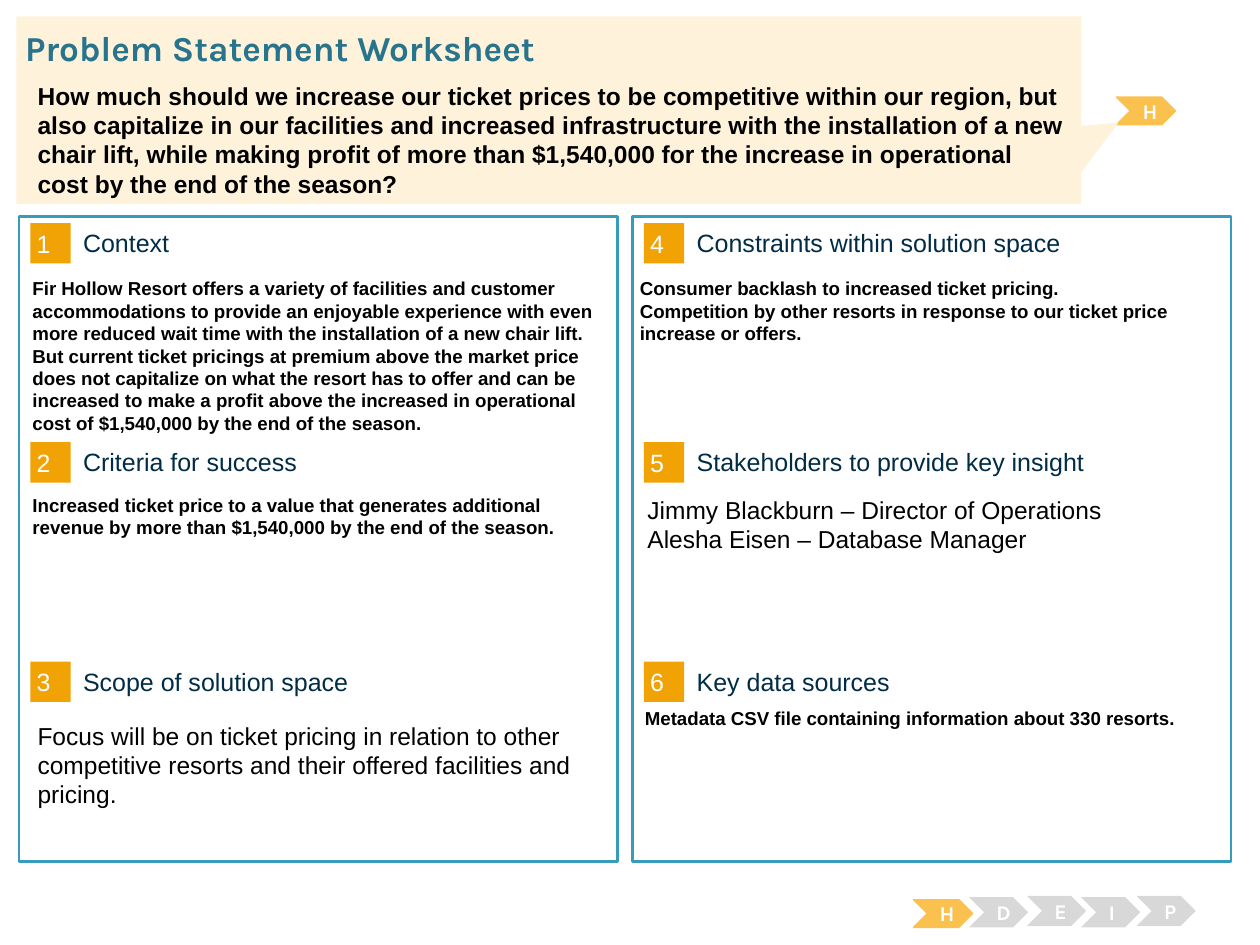
from pptx import Presentation
from pptx.dml.color import RGBColor
from pptx.enum.shapes import MSO_SHAPE
from pptx.enum.text import MSO_ANCHOR, PP_ALIGN
from pptx.util import Inches, Pt

RECTANGLE = MSO_SHAPE.RECTANGLE
CHEVRON = MSO_SHAPE.CHEVRON
CALLOUT = MSO_SHAPE.RECTANGULAR_CALLOUT
TOP, MIDDLE = MSO_ANCHOR.TOP, MSO_ANCHOR.MIDDLE
LEFT, CENTER = PP_ALIGN.LEFT, PP_ALIGN.CENTER

WHITE, BLACK, NAVY, TEAL = "FFFFFF", "000000", "002C46", "29748D"
BLUE, ORANGE, AMBER, GREY, CREAM = "379BBD", "F1A205", "FBC14E", "D8D8D8", "FEF2DA"

# Two columns of three sections
COLUMN_LEFT, COLUMN_PITCH, COLUMN_WIDTH = 0.15, 4.87, 4.75
ROW_TOP, ROW_PITCH, PANEL_HEIGHT = 1.72, 1.74, 5.12
BODY_WIDTH = 4.73
SMALL = dict(size=10.7, bold=True)
LARGE = dict(size=14)

# Heading, body lines, body format, body offset and height within the section
COLUMNS = [
    [
        ("Context",
         ["Fir Hollow Resort offers a variety of facilities and customer accommodations "
          "to provide an enjoyable experience with even more "
          "reduced wait time with the installation of a new chair lift. But current "
          "ticket pricings at premium above the market price does not capitalize on what "
          "the resort has to offer and can be increased to make a profit above the "
          "increased in operational cost of $1,540,000 by the end of the season."],
         SMALL, (0.01, 0.43), 1.36),
        ("Criteria for success",
         ["Increased ticket price to a value that generates additional revenue by more "
          "than $1,540,000 by the end of the season."],
         SMALL, (0.01, 0.41), 1.54),
        ("Scope of solution space",
         ["Focus will be on ticket pricing in relation to other competitive resorts and "
          "their offered facilities and pricing."],
         LARGE, (0.05, 0.47), 0.82),
    ],
    [
        ("Constraints within solution space",
         ["Consumer backlash to increased ticket pricing.",
          "Competition by other resorts in response to our ticket price increase or offers."],
         SMALL, (-0.04, 0.43), 1.18),
        ("Stakeholders to provide key insight",
         ["Jimmy Blackburn – Director of Operations", "Alesha Eisen – Database Manager"],
         LARGE, (0.02, 0.42), 1.18),
        ("Key data sources",
         ["Metadata CSV file containing information about 330 resorts."],
         SMALL, (0, 0.36), 1.18),
    ],
]
QUESTION = (
    "How much should we increase our ticket prices to be competitive within our region, "
    "but also capitalize in our facilities and increased infrastructure with the "
    "installation of a new chair lift, while making profit of more than $1,540,000 for "
    "the increase in operational cost by the end of the season?")


def color(value):
    return RGBColor.from_string(value)


def write(shape, lines, size=14, font="Arial", ink=BLACK, bold=False,
          align=LEFT, anchor=TOP, insets=(0.1, 0.05)):
    frame = shape.text_frame
    frame.word_wrap = True
    frame.vertical_anchor = anchor
    frame.margin_left = frame.margin_right = Inches(insets[0])
    frame.margin_top = frame.margin_bottom = Inches(insets[1])
    for index, line in enumerate(lines):
        paragraph = frame.paragraphs[0] if index == 0 else frame.add_paragraph()
        paragraph.alignment = align
        run = paragraph.add_run()
        run.text = line
        run.font.size, run.font.name, run.font.bold = Pt(size), font, bold
        run.font.color.rgb = color(ink)


def add_text(slide, box, lines, **style):
    write(slide.shapes.add_textbox(*map(Inches, box)), lines, **style)


def add_box(slide, kind, box, fill, line=None, width=0.75):
    shape = slide.shapes.add_shape(kind, *map(Inches, box))
    shape.shadow.inherit = False
    shape.fill.solid()
    shape.fill.fore_color.rgb = color(fill)
    if line:
        shape.line.color.rgb = color(line)
        shape.line.width = Pt(width)
    else:
        shape.line.fill.background()
    return shape


def add_step(slide, left, top, letter, active=False):
    if active:
        shape = add_box(slide, CHEVRON, (left, top, 0.47, 0.22), AMBER, AMBER)
    else:
        shape = add_box(slide, CHEVRON, (left, top, 0.47, 0.24), GREY)
    write(shape, [letter], size=12, font="Karla", ink=WHITE, bold=True,
          align=CENTER, anchor=MIDDLE)


def add_section(slide, left, top, number, heading, lines, style, offset, height):
    badge = add_box(slide, RECTANGLE, (left + 0.09, top + 0.05, 0.32, 0.32), ORANGE)
    write(badge, [str(number)], size=14.3, ink=WHITE, anchor=MIDDLE, insets=(0.05, 0.05))
    add_text(slide, (left + 0.51, top + 0.08, 3.93, 0.25), [heading],
             size=14.3, ink=NAVY, anchor=MIDDLE, insets=(0, 0))
    add_text(slide, (left + offset[0], top + offset[1], BODY_WIDTH, height), lines, **style)


def add_column(slide, left, top, first_number, sections):
    add_box(slide, RECTANGLE, (left, top, COLUMN_WIDTH, PANEL_HEIGHT), WHITE, BLUE, 1.5)
    for row, section in enumerate(sections):
        add_section(slide, left, top + row * ROW_PITCH, first_number + row, *section)


def add_header(slide, left, top, width, height):
    add_step(slide, left + width + 0.28, top + 0.64, "H", active=True)
    callout = add_box(slide, CALLOUT, (left, top, width, height), CREAM)
    callout.adjustments[0], callout.adjustments[1] = 0.535, 0.066
    add_text(slide, (left + 0.07, top + 0.08, 9.62, 0.34), ["Problem Statement Worksheet"],
             size=20, font="Karla", ink=TEAL, bold=True, insets=(0, 0))
    add_text(slide, (left + 0.07, top + 0.46, width - 0.07, 1.02), [QUESTION], bold=True)


def add_tracker(slide, left, top):
    steps = [("H", 0, 0.03), ("D", 0.44, 0.01), ("E", 0.9, 0), ("I", 1.33, 0.01), ("P", 1.77, 0)]
    for letter, across, down in steps:
        add_step(slide, left + across, top + down, letter, active=letter == "H")


presentation = Presentation()
presentation.slide_width, presentation.slide_height = Inches(10), Inches(7.5)
slide = presentation.slides.add_slide(presentation.slide_layouts[6])

for index, sections in enumerate(COLUMNS):
    add_column(slide, COLUMN_LEFT + index * COLUMN_PITCH, ROW_TOP, 1 + 3 * index, sections)
add_tracker(slide, 7.25, 7.11)
add_header(slide, 0.13, 0.13, 8.45, 1.49)

presentation.save("out.pptx")
